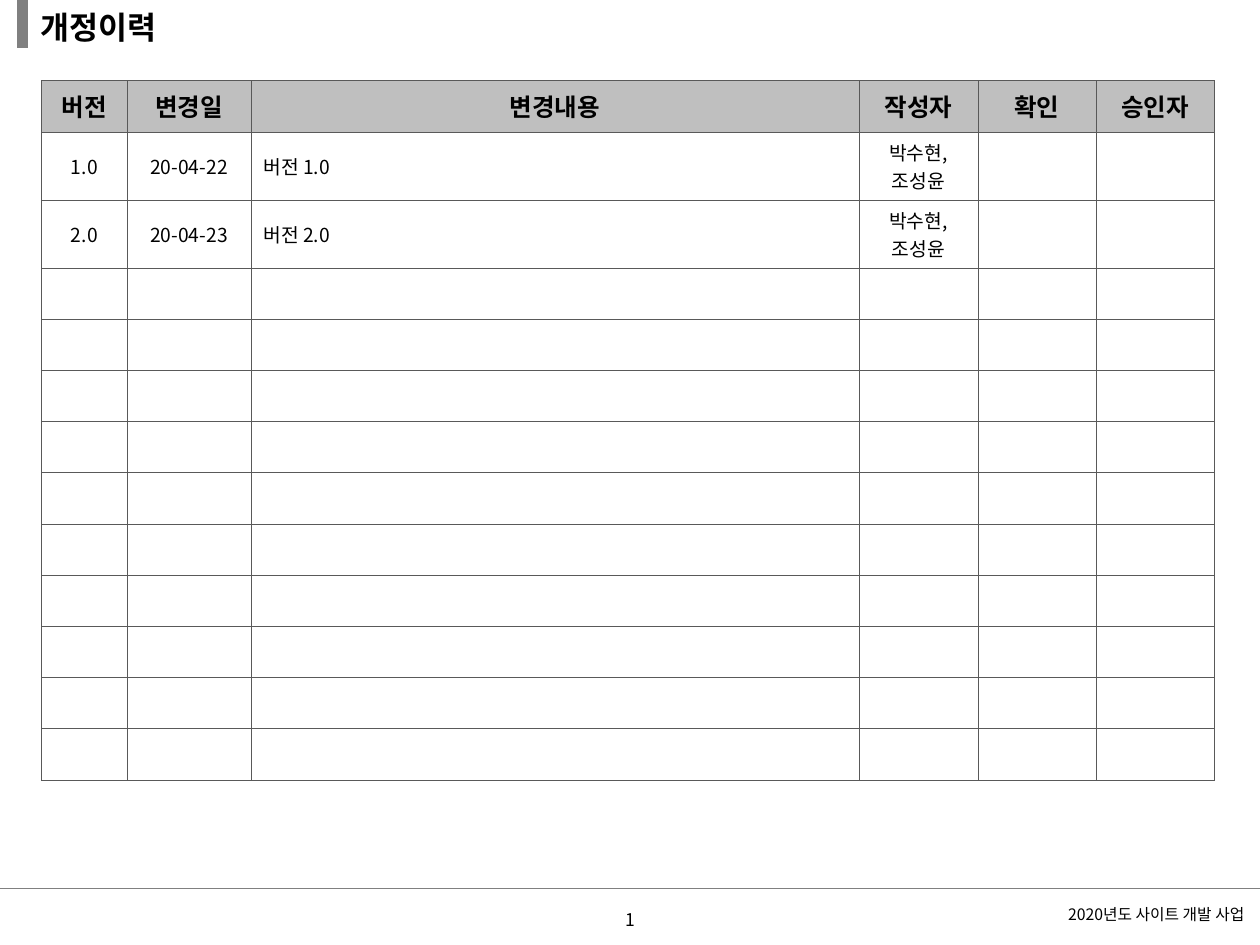
from lxml import etree
from pptx import Presentation
from pptx.dml.color import RGBColor
from pptx.enum import shapes, text
from pptx.oxml.ns import qn
from pptx.util import Inches, Pt

FONT = "Noto Sans CJK KR"
COLORS = {"text": "000000", "rule": "808080", "border": "595959", "header": "BFBFBF"}
TITLE = "개정이력"
HEADERS = ["버전", "변경일", "변경내용", "작성자", "확인", "승인자"]
REVISIONS = [
    ["1.0", "20-04-22", "버전 1.0", "박수현,\n조성윤", "", ""],
    ["2.0", "20-04-23", "버전 2.0", "박수현,\n조성윤", "", ""],
]
ROW_COUNT = 13
COL_WIDTHS = [0.68, 0.98, 4.83, 0.94, 0.94, 0.94]
TABLE_HEIGHT = 5.55
REVISION_HEIGHT = 0.54
DESCRIPTION_COL = 2
RULES = [((0, 7.05), (10, 7.05), 0.75), ((0.18, -0.02), (0.18, 0.38), 6)]
FOOTERS = [
    ("2020년도 사이트 개발 사업 ", 7.06, 9, text.PP_ALIGN.RIGHT),
    ("1", 7.1, 10, text.PP_ALIGN.CENTER),
]


def rgb(name):
    return RGBColor.from_string(COLORS[name])


def write(tf, content, size, align, bold=False):
    tf.text = content
    for p in tf.paragraphs:
        p.alignment = align
        for r in p.runs:
            r.font.name = FONT
            r.font.size = Pt(size)
            r.font.bold = bold
            r.font.color.rgb = rgb("text")
            etree.SubElement(r.font._element, qn("a:ea"), typeface=FONT)
        if not p.runs:
            etree.SubElement(p._p, qn("a:endParaRPr"), sz=str(size * 100))


def add_borders(cell):
    tc_pr = cell._tc.get_or_add_tcPr()
    for i, side in enumerate(("lnL", "lnR", "lnT", "lnB")):
        ln = etree.Element(qn(f"a:{side}"), w=str(Pt(0.25)))
        fill = etree.SubElement(ln, qn("a:solidFill"))
        etree.SubElement(fill, qn("a:srgbClr"), val=COLORS["border"])
        tc_pr.insert(i, ln)


def add_rule(s, start, end, width):
    line = s.shapes.add_connector(
        shapes.MSO_CONNECTOR.STRAIGHT, *map(Inches, start + end))
    line.line.color.rgb = rgb("rule")
    line.line.width = Pt(width)
    etree.SubElement(line._element.spPr, qn("a:effectLst"))


def add_footer(s, content, top, size, align):
    sp = s.shapes.add_textbox(0, Inches(top), Inches(10), Inches(0.4))
    tf = sp.text_frame
    tf.word_wrap = True
    tf.vertical_anchor = text.MSO_ANCHOR.MIDDLE
    write(tf, content, size, align)


def add_history(s):
    frame = s.shapes.add_table(
        ROW_COUNT, len(HEADERS), Inches(0.33), Inches(0.64),
        Inches(sum(COL_WIDTHS)), Inches(TABLE_HEIGHT))
    table = frame.table
    table.horz_banding = False
    for col, width in zip(table.columns, COL_WIDTHS):
        col.width = Inches(width)
    filled = len(REVISIONS)
    plain_height = (TABLE_HEIGHT - filled * REVISION_HEIGHT) / (ROW_COUNT - filled)
    blank = [[""] * len(HEADERS)] * (ROW_COUNT - 1 - filled)
    for i, values in enumerate([HEADERS] + REVISIONS + blank):
        header = i == 0
        revision = 1 <= i <= filled
        table.rows[i].height = Inches(REVISION_HEIGHT if revision else plain_height)
        for j, value in enumerate(values):
            cell = table.cell(i, j)
            cell.vertical_anchor = text.MSO_ANCHOR.MIDDLE
            if header:
                cell.fill.solid()
                cell.fill.fore_color.rgb = rgb("header")
            else:
                cell.fill.background()
            left = j == DESCRIPTION_COL and not header
            align = text.PP_ALIGN.LEFT if left else text.PP_ALIGN.CENTER
            write(cell.text_frame, value, 14 if header else 11, align, header)
            add_borders(cell)


def add_title(s):
    sp = s.shapes.title
    sp.left, sp.top, sp.width, sp.height = map(Inches, (0.22, 0, 2.97, 0.42))
    sp.text_frame.vertical_anchor = text.MSO_ANCHOR.MIDDLE
    write(sp.text_frame, TITLE, 18, text.PP_ALIGN.LEFT, True)


def main():
    prs = Presentation()
    prs.slide_width, prs.slide_height = Inches(10), Inches(7.5)
    s = prs.slides.add_slide(prs.slide_layouts[5])
    for rule in RULES:
        add_rule(s, *rule)
    for footer in FOOTERS:
        add_footer(s, *footer)
    add_history(s)
    add_title(s)
    prs.save("out.pptx")


if __name__ == "__main__":
    main()
